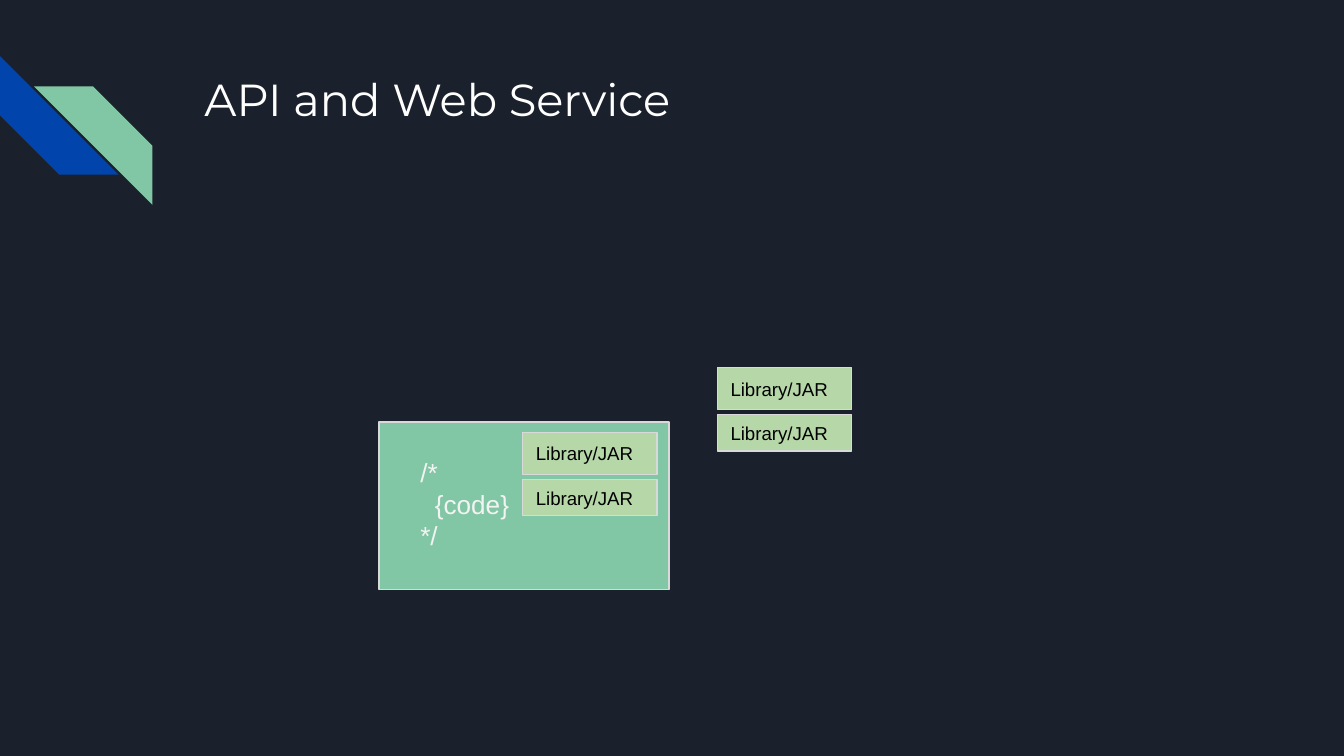
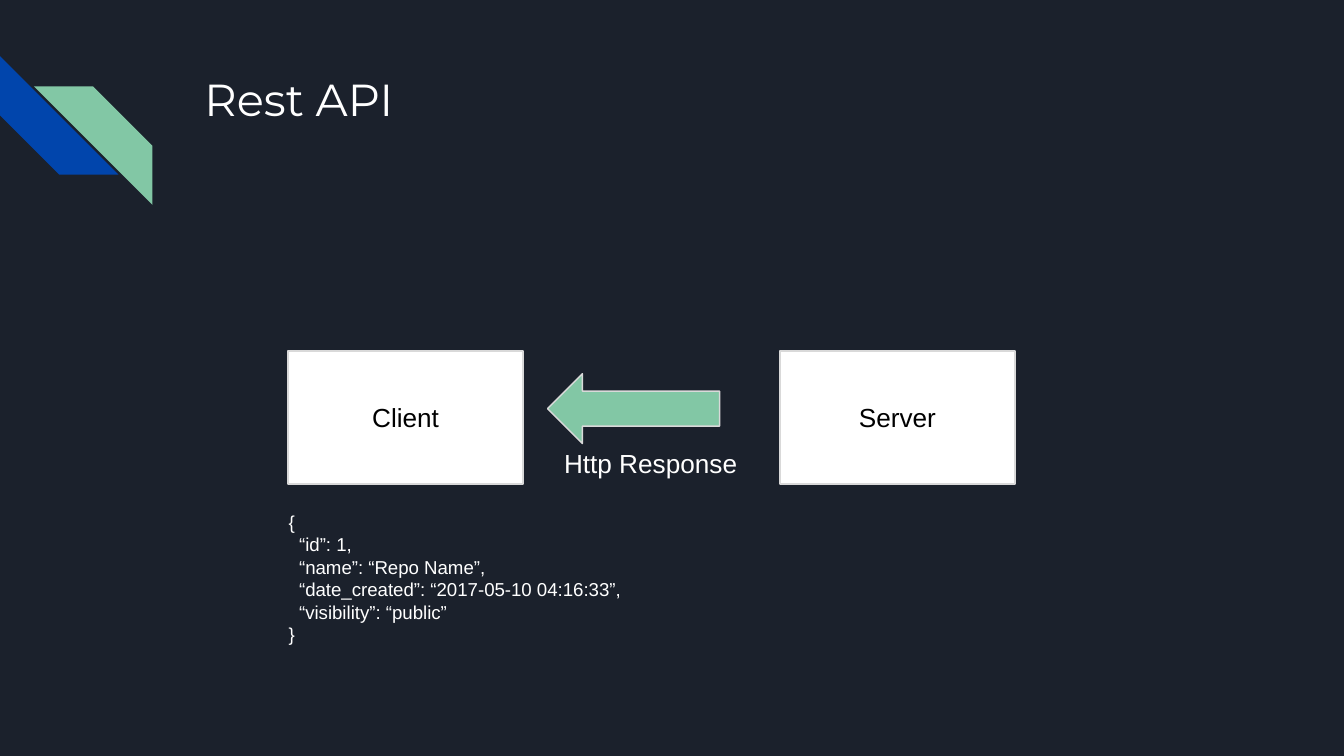
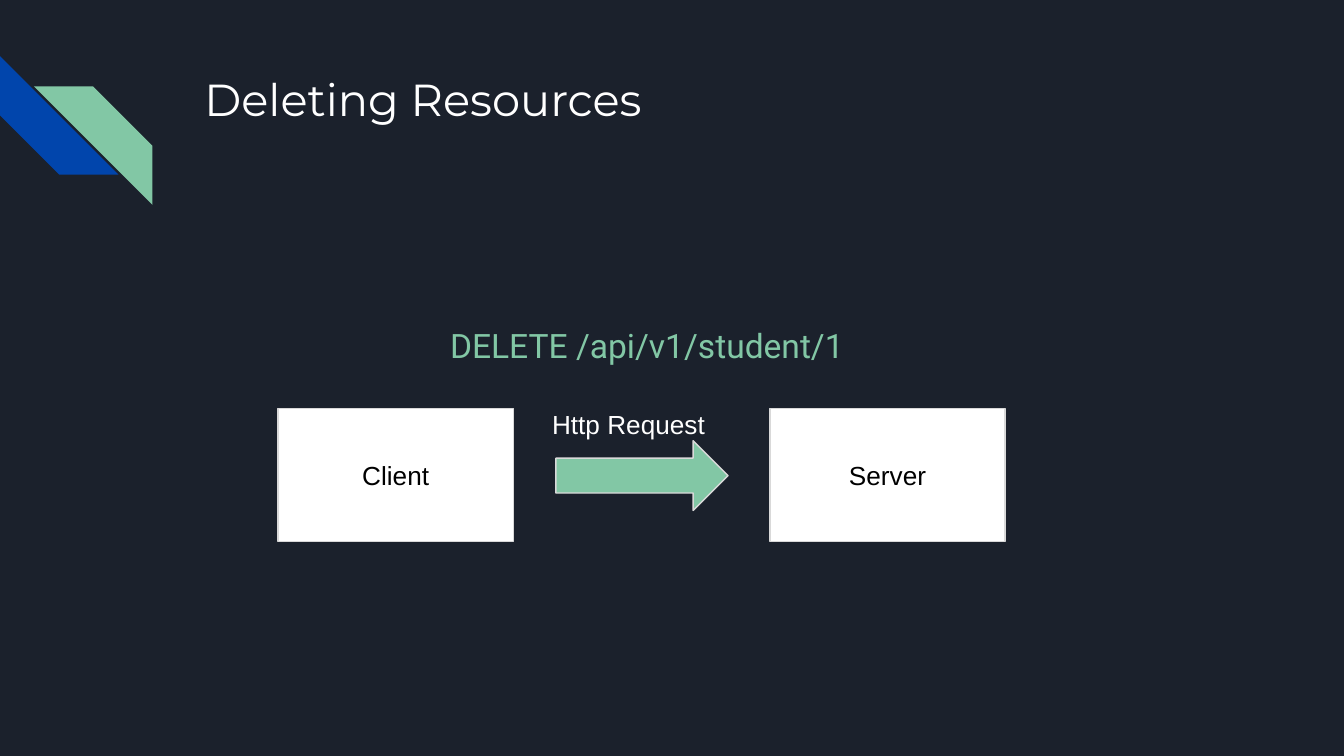
import pptx
import pptx.dml.color
import pptx.enum.shapes
import pptx.enum.text
import pptx.util

Pt = pptx.util.Pt
SHAPE = pptx.enum.shapes.MSO_SHAPE
ALIGN = pptx.enum.text.PP_ALIGN
ANCHOR = pptx.enum.text.MSO_ANCHOR

NAVY, BLUE, GREEN, LIME = "1B212C", "0145AC", "82C7A5", "B6D7A8"
WHITE, OFF_WHITE, GREY, BLACK = "FFFFFF", "F3F3F3", "D9D9D9", "000000"


def color(hex_value):
    return pptx.dml.color.RGBColor.from_string(hex_value)


def write(shape, text, size, text_color, font="Arial", align=ALIGN.LEFT,
          anchor=ANCHOR.TOP):
    frame = shape.text_frame
    frame.text = text
    frame.word_wrap = True
    frame.auto_size = pptx.enum.text.MSO_AUTO_SIZE.NONE
    frame.vertical_anchor = anchor
    frame.margin_left = frame.margin_right = Pt(7.2)
    frame.margin_top = frame.margin_bottom = Pt(7.2)
    for paragraph in frame.paragraphs:
        paragraph.alignment = align
        for run in paragraph.runs:
            run.font.size = Pt(size)
            run.font.name = font
            run.font.color.rgb = color(text_color)
    return frame


def add_figure(slide, preset, left, top, width, height, fill, outline=GREY):
    figure = slide.shapes.add_shape(preset, Pt(left), Pt(top), Pt(width), Pt(height))
    figure.shadow.inherit = False
    figure.fill.solid()
    figure.fill.fore_color.rgb = color(fill)
    if outline:
        figure.line.color.rgb = color(outline)
        figure.line.width = Pt(0.75)
    else:
        figure.line.fill.background()
    return figure


def add_text(slide, left, top, width, height, text, size, text_color, font="Arial"):
    box = slide.shapes.add_textbox(Pt(left), Pt(top), Pt(width), Pt(height))
    return write(box, text, size, text_color, font)


def add_code(slide, left, top, width, height, lines, size, text_color):
    """Write code whose lines between the first and the last are indented."""
    frame = add_text(slide, left, top, width, height, "\n".join(lines), size, text_color)
    for paragraph in frame.paragraphs[1:-1]:
        properties = paragraph._p.get_or_add_pPr()
        properties.set("marL", str(Pt(size * 0.556)))
        properties.set("indent", "0")


def add_stripes(slide, left, top, size=63.4):
    blue = add_figure(slide, SHAPE.DIAGONAL_STRIPE, left, top, size, size, BLUE, None)
    blue.rotation = 270
    green = add_figure(slide, SHAPE.DIAGONAL_STRIPE, left + 18.2, top + 16.2,
                       size, size, GREEN, None)
    green._element.spPr.xfrm.set("flipH", "1")


def add_titled_slide(deck, heading):
    slide = deck.slides.add_slide(deck.slide_layouts[5])
    add_stripes(slide, 0, 30.1)
    title = slide.shapes.title
    title.left, title.top, title.width, title.height = Pt(102.3), Pt(31), Pt(554.4), Pt(72)
    write(title, heading, 24, WHITE, "Montserrat")
    return slide


def add_libraries(slide, left, top):
    for offset, height in ((0, 22.3), (25.2, 19.4)):
        library = add_figure(slide, SHAPE.RECTANGLE, left, top + offset, 72, height, LIME)
        write(library, "Library/JAR", 10, BLACK, anchor=ANCHOR.MIDDLE)


def add_program(slide, left, top):
    add_figure(slide, SHAPE.RECTANGLE, left, top, 155.5, 90, GREEN)
    add_code(slide, left + 15.1, top + 11.5, 66, 66, ("/*", "{code}", "*/"), 14, OFF_WHITE)
    add_libraries(slide, left + 77, top + 5.8)


def add_client_server(slide, left, top):
    for name, offset in (("Client", 0), ("Server", 263.5)):
        node = add_figure(slide, SHAPE.RECTANGLE, left + offset, top, 126, 71.3, WHITE)
        write(node, name, 14, BLACK, align=ALIGN.CENTER, anchor=ANCHOR.MIDDLE)


def add_message_arrow(slide, left, top, rotation=0):
    arrow = add_figure(slide, SHAPE.RIGHT_ARROW, left, top, 92.2, 37.4, GREEN)
    arrow.rotation = rotation


def build_web_service(deck):
    slide = add_titled_slide(deck, "API and Web Service")
    add_program(slide, 203, 226)
    add_libraries(slide, 384.3, 197)


def build_rest_api(deck, left=154.3, top=188):
    slide = add_titled_slide(deck, "Rest API")
    add_client_server(slide, left, top)
    add_message_arrow(slide, left + 139, top + 12.2, rotation=180)
    add_text(slide, left + 140.8, top + 44.6, 112.3, 34.6, "Http Response", 14, WHITE)
    response = ("{", "“id”: 1,", "“name”: “Repo Name”,",
                "“date_created”: “2017-05-10 04:16:33”,", "“visibility”: “public”", "}")
    add_code(slide, left - 6.7, top + 78.4, 221.8, 96.5, response, 10, WHITE)


def build_deleting(deck, left=149, top=218.7):
    slide = add_titled_slide(deck, "Deleting Resources")
    add_client_server(slide, left, top)
    endpoint = add_text(slide, left + 85, top - 55.3, 226.8, 34.6,
                        "DELETE /api/v1/student/1", 18, GREEN, "Roboto")
    endpoint.paragraphs[0].line_spacing = 1.15
    add_message_arrow(slide, left + 148.8, top + 17.4)
    add_text(slide, left + 139.7, top - 7, 100.8, 34.6, "Http Request", 14, WHITE)


def main():
    deck = pptx.Presentation()
    deck.slide_width, deck.slide_height = Pt(720), Pt(405)
    backdrop = deck.slide_master.background.fill
    backdrop.solid()
    backdrop.fore_color.rgb = color(NAVY)
    build_web_service(deck)
    build_rest_api(deck)
    build_deleting(deck)
    deck.save("out.pptx")


if __name__ == "__main__":
    main()
